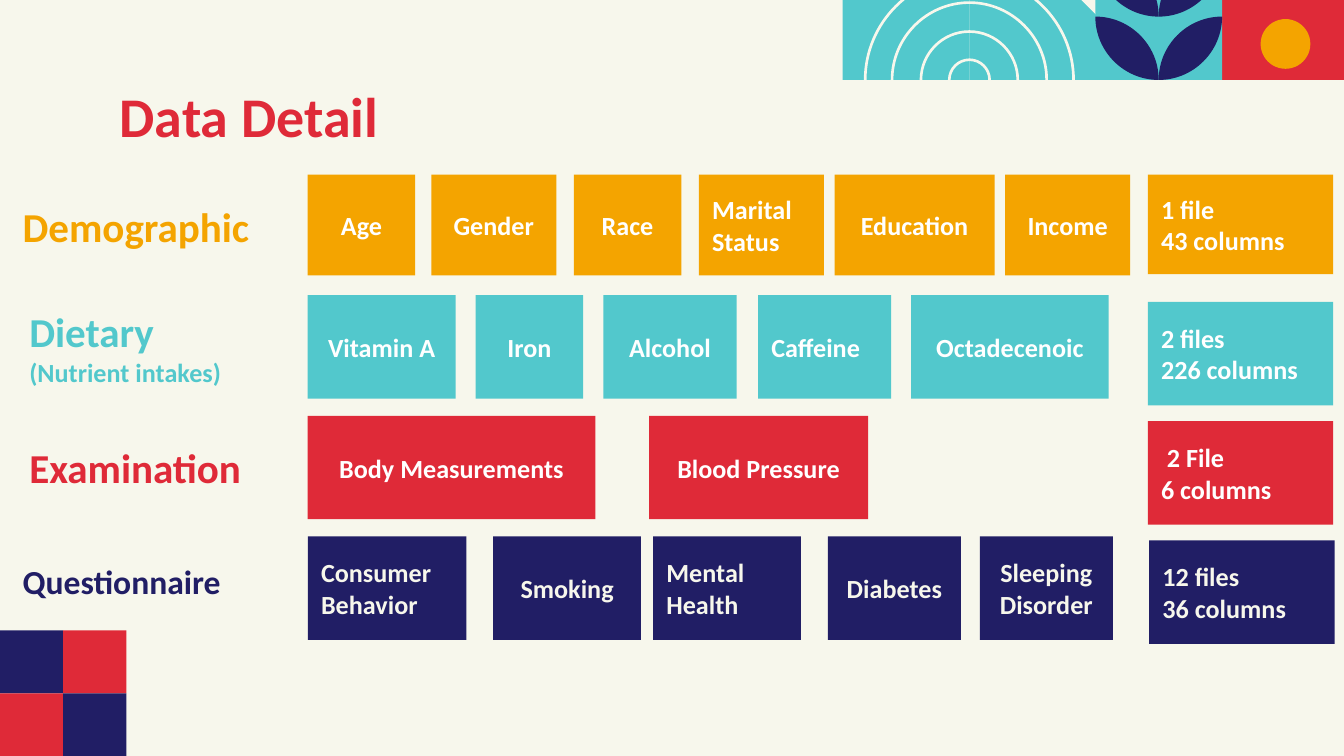
from dataclasses import dataclass
from math import cos, radians, sin

from lxml import etree
from pptx import Presentation
from pptx.dml.color import RGBColor
from pptx.enum.shapes import MSO_SHAPE
from pptx.enum.text import MSO_ANCHOR, MSO_AUTO_SIZE, PP_ALIGN
from pptx.oxml.ns import qn
from pptx.util import Inches, Pt

RECT, OVAL = MSO_SHAPE.RECTANGLE, MSO_SHAPE.OVAL
LEFT, MID = PP_ALIGN.LEFT, PP_ALIGN.CENTER
TOP, CENTER = MSO_ANCHOR.TOP, MSO_ANCHOR.MIDDLE
FIXED = MSO_AUTO_SIZE.NONE
TITLE_ONLY = 5
BEND = 0.55  # handle length of a quarter circle, as a share of its radius


@dataclass(frozen=True)
class Theme:
    font: str = "Calibri"
    cream: str = "F7F7EC"
    white: str = "FFFFFF"
    gold: str = "F4A400"
    teal: str = "52C8CC"
    red: str = "DF2A38"
    navy: str = "211E65"
    title: int = 30
    label: int = 22
    small: int = 18
    card: int = 14


T = Theme()

# The grid has 100 columns; its cells are square
WIDTH, HEIGHT = Inches(10), Inches(5.625)
CELL = WIDTH // 100

# Each row: label, (column, drop, size), fill, ink, card height,
# cards (text, column, width, alignment), tally (text, column, drop, height)
ROWS = [
    ("Demographic", (0.7, 0.5, T.label), T.gold, T.white, 7.5,
     [("Age", 22.9, 8, MID), ("Gender", 32.1, 9.3, MID),
      ("Race", 42.7, 8, MID), ("Marital\nStatus", 52, 9.3, LEFT),
      ("Education", 62.1, 11.9, MID), ("Income", 74.8, 9.3, MID)],
     ("1 file\n43 columns", 85.4, 0, 7.4)),
    ("Dietary\n(Nutrient intakes)", (1.2, 0.5, T.label), T.teal, T.white, 7.7,
     [("Vitamin A", 22.9, 11, MID), ("Iron", 35.4, 8, MID),
      ("Alcohol", 44.9, 9.9, MID), ("Caffeine", 56.4, 9.9, LEFT),
      ("Octadecenoic", 67.8, 14.7, MID)],
     ("2 files\n226 columns", 85.4, 0.5, 7.7)),
    ("Examination", (1.2, 0.5, T.label), T.red, T.white, 7.7,
     [("Body Measurements", 22.9, 21.4, MID),
      ("Blood Pressure", 48.3, 16.3, MID)],
     (" 2 File\n6 columns", 85.4, 0.4, 7.7)),
    ("Questionnaire", (0.7, 0, T.small), T.navy, T.cream, 7.7,
     [("Consumer Behavior", 22.9, 11.8, LEFT), ("Smoking", 36.7, 11, MID),
      ("Mental Health", 48.6, 11, LEFT), ("Diabetes", 61.6, 9.9, MID),
      ("Sleeping Disorder", 72.9, 9.9, MID)],
     ("12 files\n36 columns", 85.5, 0.3, 7.7)),
]


def grid(*cells):
    return [round(n * CELL) for n in cells]


def paint(shape, fill):
    shape.shadow.inherit = False
    shape.fill.solid()
    shape.fill.fore_color.rgb = RGBColor.from_string(fill)
    shape.line.fill.background()
    return shape


def block(slide, box, fill, kind=RECT):
    return paint(slide.shapes.add_shape(kind, *grid(*box)), fill)


def patch(slide, start, legs, fill):
    """Fill an outline; a leg of one point is a line, of three a curve."""
    pen = slide.shapes.build_freeform(*grid(*start))
    pen.add_line_segments([grid(*p) for leg in legs for p in leg], close=True)
    shape = paint(pen.convert_to_shape(), fill)
    nodes = iter(list(shape._element.iter(qn("a:lnTo"))))
    for leg in legs:
        parts = [next(nodes) for _ in leg]
        if len(parts) == 3:
            curve = etree.Element(qn("a:cubicBezTo"))
            parts[0].addprevious(curve)
            for part in parts:
                curve.append(part[0])
                part.getparent().remove(part)
    return shape


def turn(x, y, r, start, sweep):
    """Curve a quarter circle round x, y from an angle by plus or minus 90."""
    a, b = radians(start), radians(start + sweep)
    k = BEND if sweep > 0 else -BEND
    return [(x + r * (cos(a) - k * sin(a)), y - r * (sin(a) + k * cos(a))),
            (x + r * (cos(b) + k * sin(b)), y - r * (sin(b) - k * cos(b))),
            (x + r * cos(b), y - r * sin(b))]


def write(shape, text, size=T.card, ink=T.white, align=LEFT, anchor=CENTER, sub=None):
    """Set text; lines after the first take the size sub."""
    frame = shape.text_frame
    frame.word_wrap, frame.auto_size = True, FIXED
    frame.vertical_anchor = anchor
    frame.margin_left = frame.margin_right = CELL
    frame.margin_top = frame.margin_bottom = CELL
    para = frame.paragraphs[0]
    para.alignment = align
    for i, line in enumerate(text.split("\n")):
        if i:
            para.add_line_break()
        run = para.add_run()
        run.text = line
        run.font.name, run.font.bold = T.font, True
        run.font.size = Pt(sub if i and sub else size)
        run.font.color.rgb = RGBColor.from_string(ink)


def rings(slide, x, y, side):
    mid, base = x + side, y + side
    for left in (mid, x):
        block(slide, (left, y, side, side), T.teal)
    # Cut corner
    end, cut = mid + side + 0.1, 4.6
    wedge = patch(slide, (end - cut, y), [[(end, y + cut)], [(end, y)]], T.cream)
    wedge.line.color.rgb = RGBColor.from_string(T.cream)
    wedge.line.width = Pt(0.75)
    # Half rings on a common base
    for r in (7.85, 5.85, 3.7, 1.6):
        inner = r - 0.2
        legs = [turn(mid, base, r, 180, -90), turn(mid, base, r, 90, -90),
                [(mid + inner, base)],
                turn(mid, base, inner, 0, 90), turn(mid, base, inner, 90, 90)]
        patch(slide, (mid - r, base), legs, T.cream)


def leaves(slide, x, y, side):
    block(slide, (x, y, side, side), T.teal)
    r = side / 2
    mid = x + r
    for head in (y + r, y):
        foot = head + r
        for edge, start, sweep in ((x, 180, 90), (x + side, 0, -90)):
            legs = [turn(mid, head, r, start, sweep),
                    turn(edge, foot, r, start - 180, sweep)]
            patch(slide, (edge, head), legs, T.navy)


def sun(slide, x, y, side):
    block(slide, (x, y, side, side), T.red)
    d = 3.7
    block(slide, (x + 2.9, y + 4.9, d, d), T.gold, OVAL)


def checks(slide, x, y, side):
    for i in range(4):
        row, col = divmod(i, 2)
        fill = T.red if (row + col) % 2 else T.navy
        block(slide, (x + col * side, y + row * side, side, side), fill)


def heading(slide, x, y, w, h):
    title = slide.shapes.title
    title.left, title.top, title.width, title.height = grid(x, y, w, h)
    write(title, "Data Detail", size=T.title, ink=T.red, anchor=TOP)


def group(slide, y, label, spot, fill, ink, tall, cards, tally):
    # Label
    x, drop, size = spot
    name = slide.shapes.add_textbox(*grid(x, y + drop, 22.6 - x, 6.7))
    write(name, label, size=size, ink=fill, sub=T.card)
    # Cards
    for text, col, wide, align in cards:
        card = block(slide, (col, y, wide, tall), fill)
        write(card, text, ink=ink, align=align)
    # Tally
    text, col, drop, high = tally
    write(block(slide, (col, y + drop, 13.8, high), fill), text, ink=ink)


def main():
    deck = Presentation()
    deck.slide_width, deck.slide_height = WIDTH, HEIGHT
    slide = deck.slides.add_slide(deck.slide_layouts[TITLE_ONLY])
    slide.background.fill.solid()
    slide.background.fill.fore_color.rgb = RGBColor.from_string(T.cream)
    # Banner of square tiles, then the corner checks
    tile, top = 9.43, -3.48
    rings(slide, 62.7, top, tile)
    sun(slide, 90.9, top, tile)
    leaves(slide, 81.5, top, tile)
    checks(slide, 0, 46.9, 4.7)
    # Content
    heading(slide, 7.9, 5.1, 84.2, 6.3)
    for i, row in enumerate(ROWS):
        group(slide, 13 + i * 8.97, *row)
    deck.save("out.pptx")


if __name__ == "__main__":
    main()
